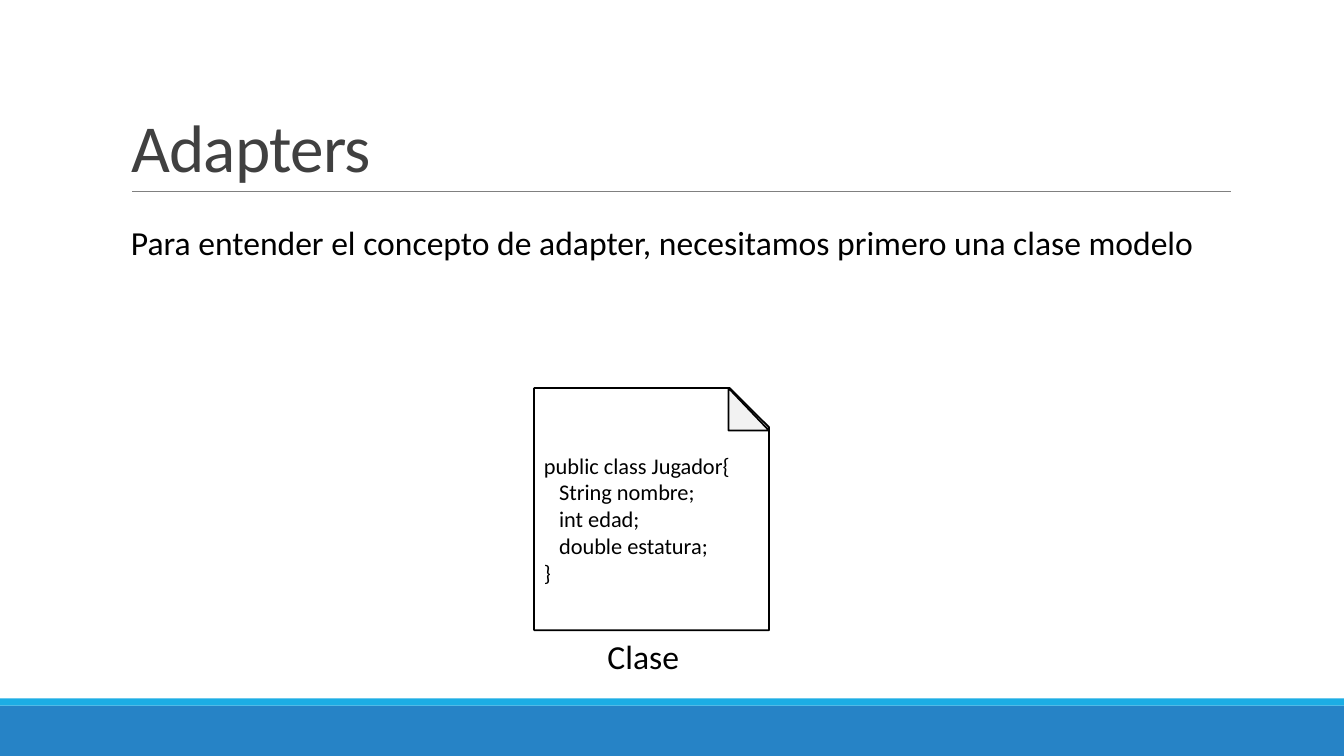
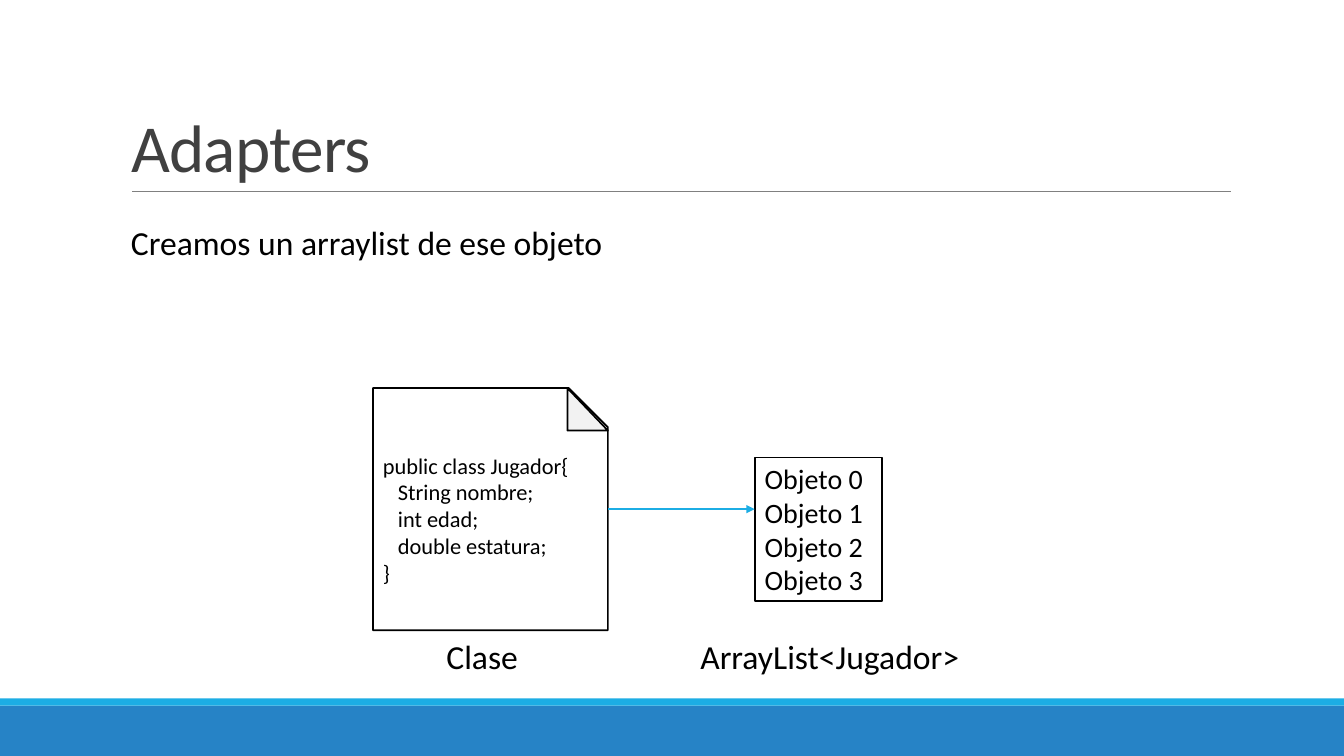
from dataclasses import dataclass
from typing import Any

from lxml import etree
from pptx import Presentation
from pptx.dml.color import RGBColor
from pptx.enum.shapes import MSO_CONNECTOR, MSO_SHAPE
from pptx.enum.text import MSO_ANCHOR, MSO_AUTO_SIZE, PP_ALIGN
from pptx.oxml.ns import qn
from pptx.util import Cm, Pt

RECTANGLE = MSO_SHAPE.RECTANGLE
SNIPPED = MSO_SHAPE.SNIP_1_RECTANGLE
TRIANGLE = MSO_SHAPE.RIGHT_TRIANGLE
STRAIGHT = MSO_CONNECTOR.STRAIGHT
MIDDLE, TOP, BOTTOM = MSO_ANCHOR.MIDDLE, MSO_ANCHOR.TOP, MSO_ANCHOR.BOTTOM
NO_FIT, GROW = MSO_AUTO_SIZE.NONE, MSO_AUTO_SIZE.SHAPE_TO_FIT_TEXT
LEFT = PP_ALIGN.LEFT

FONT = "Calibri"
BLACK, WHITE, FOLD_GREY = "000000", "FFFFFF", "F2F2F2"
TITLE_GREY, RULE_GREY = "404040", "808080"
BLUE, CYAN = "2683C6", "1CADE4"

TITLE_ONLY = 5
CODE_INDENT = 0.38
PAGE_TOP, PAGE_WIDTH, PAGE_HEIGHT = 9.78, 5.92, 6.1
FOLD_WIDTH, FOLD_HEIGHT = 1.02, 1.07
CAPTION_TOP, CAPTION_HEIGHT = 15.9, 1.27
CAPTION_OFFSET = 1.6


@dataclass(frozen=True)
class Box:
    left: float
    top: float
    width: float
    height: float

    def lengths(self) -> tuple[Cm, Cm, Cm, Cm]:
        return Cm(self.left), Cm(self.top), Cm(self.width), Cm(self.height)


@dataclass(frozen=True)
class TextLine:
    text: str
    indent: float = 0


@dataclass(frozen=True)
class Band:
    box: Box
    color: str


@dataclass(frozen=True)
class ObjectList:
    box: Box
    items: tuple[TextLine, ...]
    caption: str
    caption_box: Box


@dataclass(frozen=True)
class AdapterSlide:
    statement: str
    page_left: float
    objects: ObjectList | None = None


TITLE = "Adapters"
TITLE_BOX = Box(3.05, 0.79, 27.94, 4.04)
STATEMENT_BOX = Box(3.05, 5.46, 27.94, 1.27)
RULE_LEFT, RULE_RIGHT, RULE_TOP = 3.33, 31.01, 4.83
BANDS = (
    Band(Box(0, 17.78, 33.87, 1.27), BLUE),
    Band(Box(0, 17.6, 33.87, 0.18), CYAN),
)
PLAYER_CLASS = (
    TextLine("public class Jugador{"),
    TextLine("String nombre;", CODE_INDENT),
    TextLine("int edad;", CODE_INDENT),
    TextLine("double estatura;", CODE_INDENT),
    TextLine("}"),
)
SLIDES = (
    AdapterSlide(
        "Para entender el concepto de adapter, necesitamos primero una clase modelo",
        13.46,
    ),
    AdapterSlide(
        "Creamos un arraylist de ese objeto",
        9.4,
        ObjectList(
            Box(19.02, 11.53, 3.2, 3.61),
            tuple(TextLine(f"Objeto {index}") for index in range(4)),
            "ArrayList<Jugador>",
            Box(17.4, CAPTION_TOP, 7.11, CAPTION_HEIGHT),
        ),
    ),
)


def rgb(value: str) -> RGBColor:
    return RGBColor.from_string(value)


def apply_format(target: Any, values: dict[str, Any]) -> None:
    for name, value in values.items():
        setattr(target, name, value)


def write_lines(frame: Any, lines: tuple[TextLine, ...], size: float, color: str = BLACK) -> None:
    for index, line in enumerate(lines):
        paragraph = frame.add_paragraph() if index else frame.paragraphs[0]
        paragraph.alignment = LEFT
        if line.indent:
            paragraph._p.get_or_add_pPr().set("marL", str(Cm(line.indent)))
        run = paragraph.add_run()
        run.text = line.text
        apply_format(run.font, {"name": FONT, "size": Pt(size)})
        run.font.color.rgb = rgb(color)


def add_figure(slide: Any, preset: Any, box: Box, fill: str, outline: str | None = None) -> Any:
    figure = slide.shapes.add_shape(preset, *box.lengths())
    figure.shadow.inherit = False
    figure.fill.solid()
    figure.fill.fore_color.rgb = rgb(fill)
    if outline:
        figure.line.color.rgb = rgb(outline)
        figure.line.width = Pt(1.25)
    else:
        figure.line.fill.background()
    return figure


def add_text_figure(
    slide: Any, preset: Any, box: Box, lines: tuple[TextLine, ...], size: float
) -> None:
    frame = add_figure(slide, preset, box, WHITE, BLACK).text_frame
    apply_format(frame, {"word_wrap": True, "vertical_anchor": MIDDLE})
    write_lines(frame, lines, size)


def add_label(slide: Any, text: str, box: Box, wrap: bool = False) -> None:
    frame = slide.shapes.add_textbox(*box.lengths()).text_frame
    apply_format(frame, {"word_wrap": wrap, "auto_size": GROW, "vertical_anchor": TOP})
    write_lines(frame, (TextLine(text),), 24)


def add_horizontal(
    slide: Any, left: float, right: float, top: float, color: str, width: float
) -> Any:
    connector = slide.shapes.add_connector(STRAIGHT, Cm(left), Cm(top), Cm(right), Cm(top))
    connector.line.color.rgb = rgb(color)
    connector.line.width = Pt(width)
    etree.SubElement(connector.element.spPr, qn("a:effectLst"))
    return connector


def move_frame_to_layout(slide: Any) -> None:
    parts = [add_figure(slide, RECTANGLE, band.box, band.color) for band in BANDS]
    parts.append(add_horizontal(slide, RULE_LEFT, RULE_RIGHT, RULE_TOP, RULE_GREY, 0.5))
    layout_tree = slide.slide_layout.shapes.element
    for number, part in enumerate(parts, start=100):
        part.element.xpath(".//p:cNvPr")[0].set("id", str(number))
        layout_tree.append(part.element)


def set_title(slide: Any) -> None:
    title = slide.shapes.title
    apply_format(title, dict(zip(("left", "top", "width", "height"), TITLE_BOX.lengths())))
    frame = title.text_frame
    apply_format(frame, {"word_wrap": True, "auto_size": NO_FIT, "vertical_anchor": BOTTOM})
    write_lines(frame, (TextLine(TITLE),), 48, TITLE_GREY)
    paragraph = frame.paragraphs[0]
    paragraph.line_spacing = 0.85
    paragraph.runs[0]._r.get_or_add_rPr().set("spc", "-50")


def add_class_page(slide: Any, left: float) -> None:
    page_box = Box(left, PAGE_TOP, PAGE_WIDTH, PAGE_HEIGHT)
    add_text_figure(slide, SNIPPED, page_box, PLAYER_CLASS, 16)
    fold_box = Box(left + PAGE_WIDTH - FOLD_WIDTH, PAGE_TOP, FOLD_WIDTH, FOLD_HEIGHT)
    add_figure(slide, TRIANGLE, fold_box, FOLD_GREY, BLACK)
    add_label(slide, "Clase", Box(left + CAPTION_OFFSET, CAPTION_TOP, 2.34, CAPTION_HEIGHT))


def add_object_list(slide: Any, objects: ObjectList, page_left: float) -> None:
    add_text_figure(slide, RECTANGLE, objects.box, objects.items, 20)
    add_label(slide, objects.caption, objects.caption_box)
    arrow = add_horizontal(
        slide, page_left + PAGE_WIDTH, objects.box.left, PAGE_TOP + PAGE_HEIGHT / 2, CYAN, 1
    )
    etree.SubElement(arrow.line._get_or_add_ln(), qn("a:tailEnd"), type="triangle")


def main() -> None:
    presentation = Presentation()
    apply_format(presentation, {"slide_width": Cm(33.87), "slide_height": Cm(19.05)})
    layout = presentation.slide_layouts[TITLE_ONLY]
    for index, content in enumerate(SLIDES):
        slide = presentation.slides.add_slide(layout)
        if index == 0:
            move_frame_to_layout(slide)
        set_title(slide)
        add_label(slide, content.statement, STATEMENT_BOX, wrap=True)
        add_class_page(slide, content.page_left)
        if content.objects:
            add_object_list(slide, content.objects, content.page_left)
    presentation.save("out.pptx")


if __name__ == "__main__":
    main()
